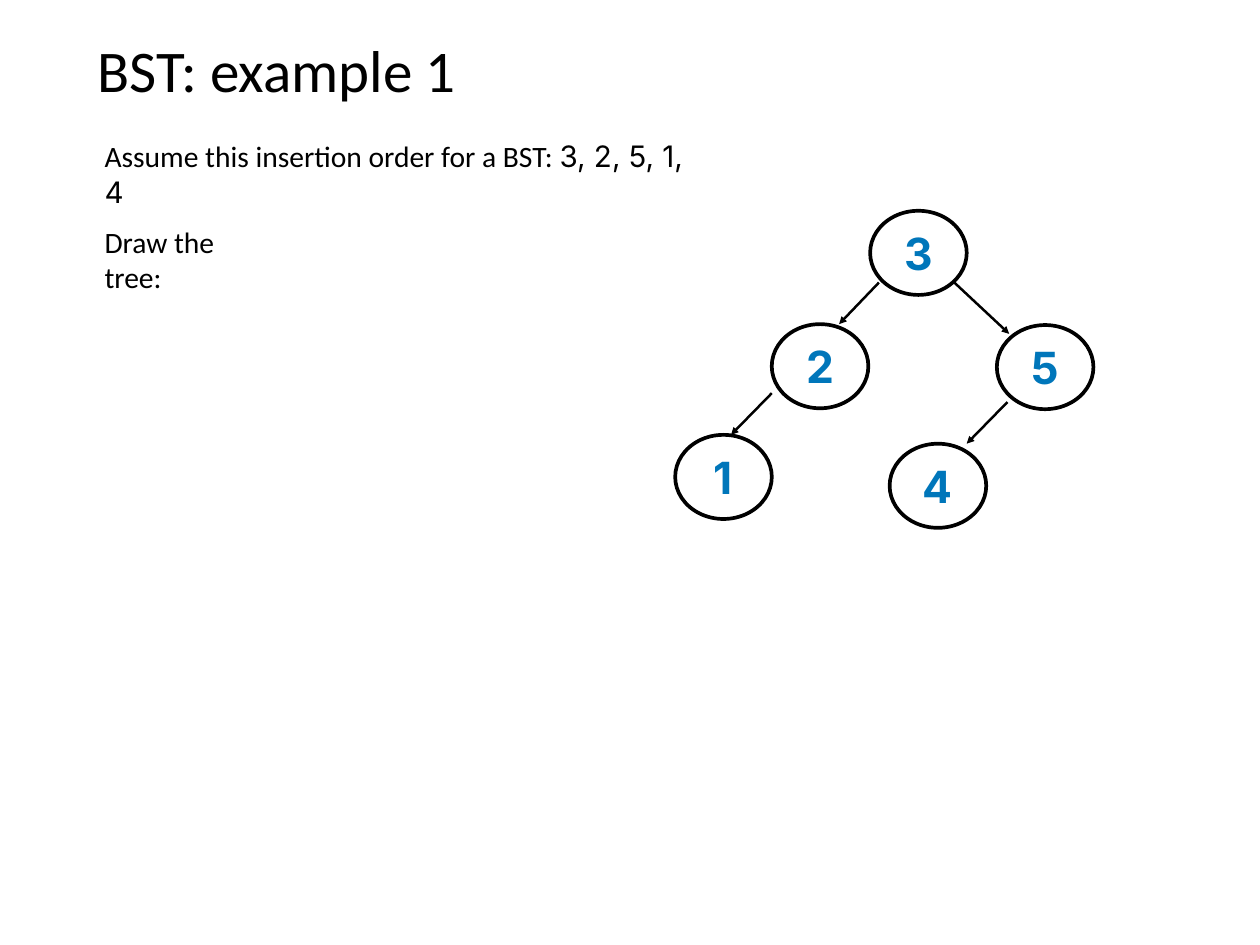
from lxml import etree
from pptx import Presentation
from pptx import util as u
from pptx.dml.color import RGBColor
from pptx.enum import shapes, text
from pptx.oxml.ns import qn

PX = 9144  # EMU per px, 100 px to the inch
COLORS = {"ink": "000000", "key": "0076BA"}
BODY, DIGITS = "Calibri", "Inter"
INSET = 6
NODE_SIZE = (109, 95)

# Places inside the tree's box
NODES = {"3": (220, 0), "5": (363, 129), "2": (109, 128),
         "1": (0, 253), "4": (242, 263)}
EDGES = [(230, 81, 185, 128), (315, 81, 377, 139),
         (109, 206, 63, 253), (375, 216, 329, 263)]


def px(*lengths):
    return [u.Emu(length * PX) for length in lengths]


def color(name):
    return RGBColor.from_string(COLORS[name])


def write(frame, runs, size, ink="ink", bold=False, align=text.PP_ALIGN.LEFT):
    """Fill a text frame with one paragraph of (wording, font) runs."""
    frame.word_wrap = True
    frame.auto_size = text.MSO_AUTO_SIZE.NONE
    frame.vertical_anchor = text.MSO_ANCHOR.MIDDLE
    frame.margin_left, frame.margin_top, frame.margin_right, frame.margin_bottom = px(*[INSET] * 4)
    paragraph = frame.paragraphs[0]
    paragraph.alignment = align
    for wording, font in runs:
        run = paragraph.add_run()
        run.text = wording
        run.font.name = font
        run.font.size = u.Pt(size)
        run.font.bold = bold
        run.font.color.rgb = color(ink)


def add_title(slide, box):
    title = slide.shapes.title
    title.left, title.top, title.width, title.height = px(*box)
    write(title.text_frame, [("BST: example 1", BODY)], 48)


def add_task(slide, box, runs):
    task = slide.shapes.add_textbox(*px(*box))
    write(task.text_frame, runs, 24)


def add_node(slide, key, left, top):
    node = slide.shapes.add_shape(shapes.MSO_SHAPE.OVAL, *px(left, top, *NODE_SIZE))
    node.shadow.inherit = False
    node.fill.background()
    node.line.color.rgb = color("ink")
    node.line.width = u.Pt(3)
    write(node.text_frame, [(key, DIGITS)], 36, "key", True, text.PP_ALIGN.CENTER)


def add_edge(slide, *ends):
    edge = slide.shapes.add_connector(shapes.MSO_CONNECTOR.STRAIGHT, *px(*ends))
    edge.line.color.rgb = color("ink")
    edge.line.width = u.Pt(2)
    etree.SubElement(edge.line._get_or_add_ln(), qn("a:tailEnd"), type="triangle")
    etree.SubElement(edge._element.spPr, qn("a:effectLst"))


def add_tree(slide, left, top):
    for key, (x, y) in NODES.items():
        add_node(slide, key, left + x, top + y)
    for x1, y1, x2, y2 in EDGES:
        add_edge(slide, left + x1, top + y1, left + x2, top + y2)


def main():
    deck = Presentation()
    deck.slide_width, deck.slide_height = px(1422, 1067)
    slide = deck.slides.add_slide(deck.slide_layouts.get_by_name("Title Only"))
    add_title(slide, (104, 28, 1214, 99))
    add_task(slide, (112, 170, 689, 52),
             [("Assume this insertion order for a BST: ", BODY), ("3, 2, 5, 1, 4", DIGITS)])
    add_task(slide, (112, 268, 200, 50), [("Draw the tree:", BODY)])
    add_tree(slide, 762, 238)
    deck.save("out.pptx")


if __name__ == "__main__":
    main()
